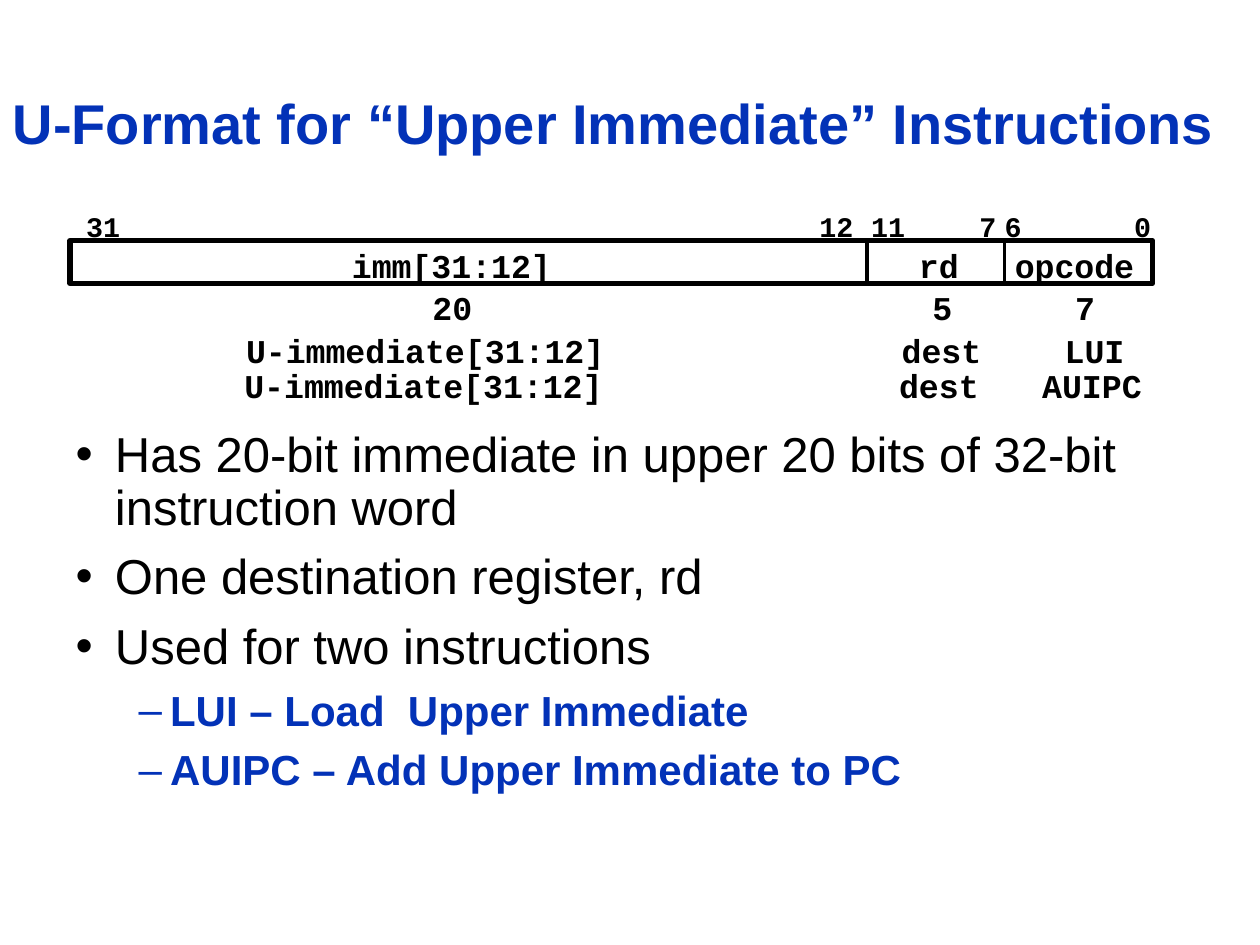
from typing import NamedTuple

from pptx import Presentation
from pptx.dml.color import RGBColor
from pptx.enum.shapes import MSO_CONNECTOR, MSO_SHAPE
from pptx.enum.text import MSO_ANCHOR, MSO_AUTO_SIZE, PP_ALIGN
from pptx.oxml.ns import qn
from pptx.util import Pt
from lxml.etree import SubElement

COLORS = {"ink": "000000", "accent": "0332B7"}
CODE_FONT = "Courier New"
LABEL_HEIGHT = 30


class LabelRow(NamedTuple):
    top: float
    size: float
    labels: dict[float, str]  # centre x -> text


class Bullet(NamedTuple):
    text: str
    level: int = 0


class BulletStyle(NamedTuple):
    mark: str
    left: float
    hanging: float
    size: float
    before: float
    color: str
    bold: bool


LABEL_ROWS = [
    # Bit positions, field names, field widths, then one row per instruction
    LabelRow(116, 16.2, {59: "31", 478: "12", 507.5: "11",
                         564.5: "7", 579: "6", 653: "0"}),
    LabelRow(136.5, 19, {258: "imm[31:12]", 536.5: "rd", 614: "opcode"}),
    LabelRow(160.5, 19, {258.5: "20", 538.5: "5", 620: "7"}),
    LabelRow(185, 19, {243: "U-immediate[31:12]", 538: "dest", 625.5: "LUI"}),
    LabelRow(205, 19, {242: "U-immediate[31:12]", 536.5: "dest", 624: "AUIPC"}),
]

BULLETS = [
    Bullet("Has 20-bit immediate in upper 20 bits of 32-bit instruction word"),
    Bullet("One destination register, rd"),
    Bullet("Used for two instructions"),
    Bullet("LUI – Load  Upper Immediate", 1),
    Bullet("AUIPC – Add Upper Immediate to PC", 1),
]

BULLET_STYLES = [
    BulletStyle("•", 22.5, 22.5, 28, 9.65, "ink", False),
    BulletStyle("–", 54, 18, 24, 8.3, "accent", True),
]


def rgb(color: str) -> RGBColor:
    return RGBColor.from_string(COLORS[color])


def write(paragraph, text: str, *, size: float, font: str = "Arial",
          color: str = "ink", bold: bool = False,
          align=PP_ALIGN.LEFT, spacing: float = 1.0) -> None:
    paragraph.text = text
    paragraph.alignment = align
    paragraph.line_spacing = spacing
    paragraph.font.size = Pt(size)
    paragraph.font.name = font
    paragraph.font.bold = bold
    paragraph.font.color.rgb = rgb(color)


def place(shape, left: float, top: float, width: float, height: float) -> None:
    shape.left, shape.top = Pt(left), Pt(top)
    shape.width, shape.height = Pt(width), Pt(height)


def draw_row(slide, row: LabelRow) -> None:
    for center, text in row.labels.items():
        width = len(text) * row.size * 0.6 + 14.4
        box = slide.shapes.add_textbox(Pt(center - width / 2), Pt(row.top),
                                       Pt(width), Pt(LABEL_HEIGHT))
        box.text_frame.word_wrap = False
        write(box.text_frame.paragraphs[0], text, size=row.size,
              font=CODE_FONT, bold=True, align=PP_ALIGN.CENTER)


def draw_divider(slide, x: float, top: float, height: float) -> None:
    divider = slide.shapes.add_connector(MSO_CONNECTOR.STRAIGHT, Pt(x), Pt(top),
                                         Pt(x), Pt(top + height))
    divider.line.color.rgb = rgb("ink")
    divider.line.width = Pt(2.25)
    SubElement(divider._element.spPr, qn("a:effectLst"))


def add_bullet(paragraph, bullet: Bullet, first: bool) -> None:
    style = BULLET_STYLES[bullet.level]
    paragraph.level = bullet.level
    paragraph.space_before = Pt(0 if first else style.before)
    properties = paragraph._p.get_or_add_pPr()
    properties.set("marL", str(Pt(style.left)))
    properties.set("indent", str(-Pt(style.hanging)))
    SubElement(properties, qn("a:buChar"), char=style.mark)
    write(paragraph, bullet.text, size=style.size, color=style.color,
          bold=style.bold, spacing=0.9)


def main() -> None:
    prs = Presentation()
    prs.slide_width, prs.slide_height = Pt(720), Pt(540)
    slide = prs.slides.add_slide(prs.slide_layouts[1])

    # Title
    title = slide.shapes.title
    place(title, 0, 24, 717, 96)
    title.text_frame.auto_size = MSO_AUTO_SIZE.NONE
    title.text_frame.vertical_anchor = MSO_ANCHOR.MIDDLE
    write(title.text_frame.paragraphs[0],
          "U-Format for “Upper Immediate” Instructions",
          size=32, color="accent", bold=True, spacing=0.9)

    # Bullet list
    body = slide.placeholders[1]
    place(body, 36, 242, 648, 227.5)
    frame = body.text_frame
    frame.auto_size = MSO_AUTO_SIZE.NONE
    for index, bullet in enumerate(BULLETS):
        paragraph = frame.add_paragraph() if index else frame.paragraphs[0]
        add_bullet(paragraph, bullet, first=index == 0)

    # Instruction word: labels, frame and field dividers
    for row in LABEL_ROWS:
        draw_row(slide, row)
    word = slide.shapes.add_shape(MSO_SHAPE.RECTANGLE, Pt(40), Pt(137.5),
                                  Pt(618.5), Pt(24.5))
    word.shadow.inherit = False
    word.fill.background()
    word.line.color.rgb = rgb("ink")
    word.line.width = Pt(3)
    for x in (495.5, 574):
        draw_divider(slide, x, 137.5, 24.5)

    prs.save("out.pptx")


if __name__ == "__main__":
    main()
